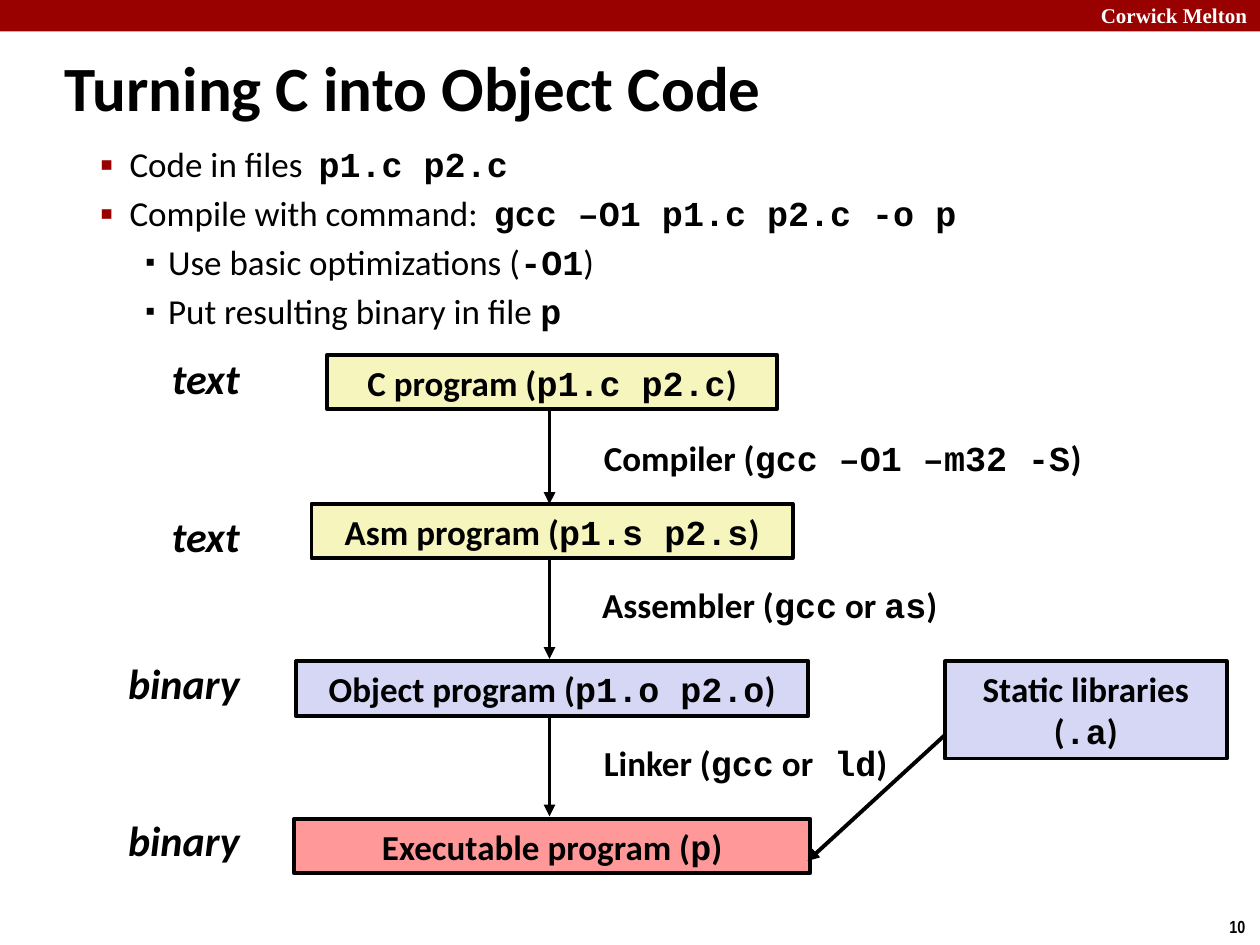
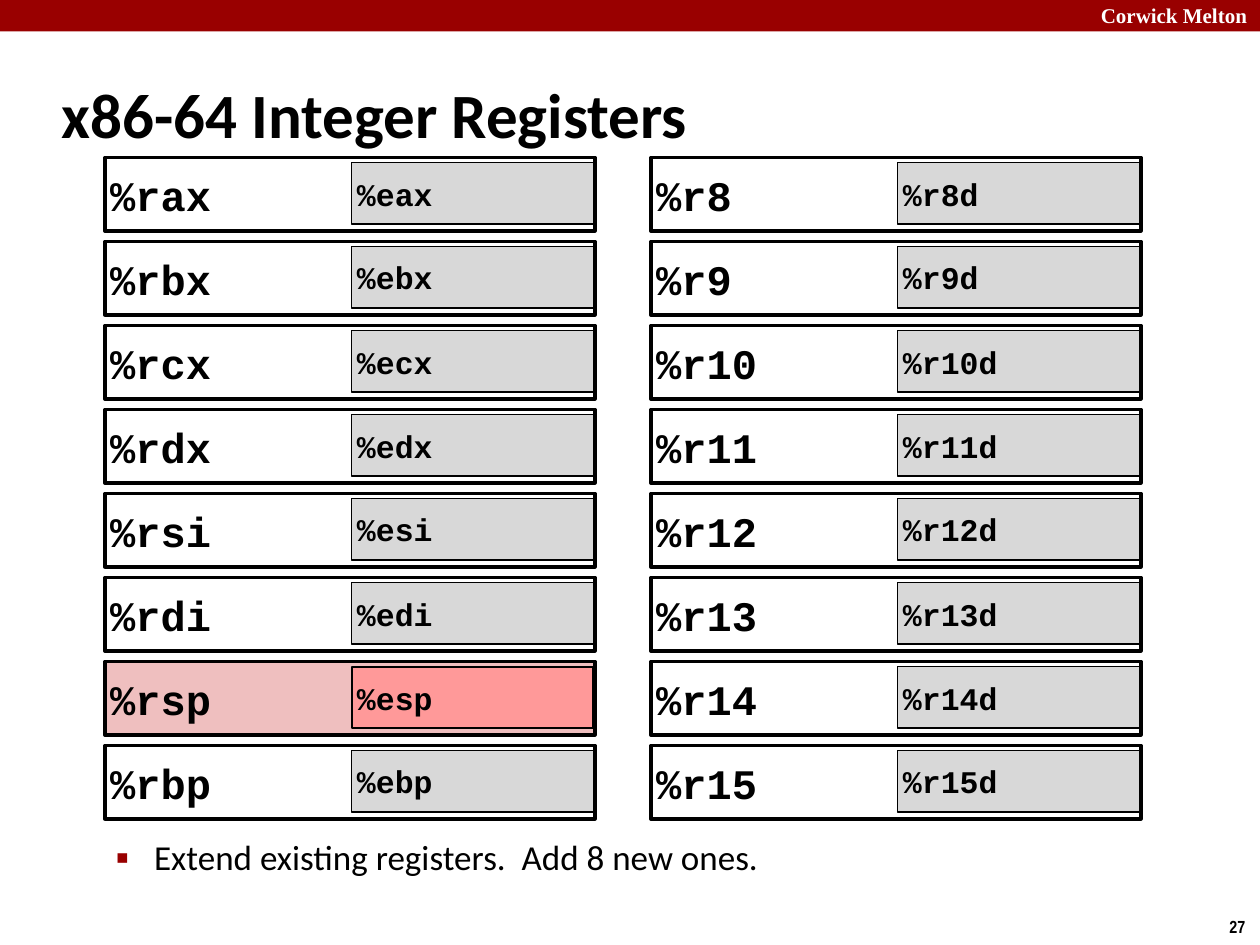
from lxml import etree
from pptx import Presentation
from pptx import util as u
from pptx.dml import color
from pptx.enum import shapes, text
from pptx.oxml import ns

rgb = color.RGBColor.from_string
RED, BLACK, WHITE = "990000", "000000", "FFFFFF"
YELLOW, LAVENDER, PINK = "F6F5BD", "D6D6F5", "FF9999"
PALE_PINK, GRAY = "EFBFBF", "D8D8D8"
BODY_FONT, CODE_FONT = "Calibri", "Courier New"
LEFT, CENTER, RIGHT = text.PP_ALIGN.LEFT, text.PP_ALIGN.CENTER, text.PP_ALIGN.RIGHT
TOP, MIDDLE = text.MSO_ANCHOR.TOP, text.MSO_ANCHOR.MIDDLE


def add_box(slide, box, words="", size=20, fill=None, line=0, ink=BLACK, font=BODY_FONT,
            bold=True, italic=False, align=LEFT, anchor=TOP, inset=None, wrap=True):
    """Add a text box, or a rectangle if it has fill or line; `backticks` mark code."""
    place = [u.Pt(value) for value in box]
    if fill or line:
        shape = slide.shapes.add_shape(shapes.MSO_SHAPE.RECTANGLE, *place)
        shape.shadow.inherit = False
        if fill:
            shape.fill.solid()
            shape.fill.fore_color.rgb = rgb(fill)
        else:
            shape.fill.background()
        if line:
            shape.line.color.rgb = rgb(BLACK)
            shape.line.width = u.Pt(line)
        else:
            shape.line.fill.background()
    else:
        shape = slide.shapes.add_textbox(*place)

    frame = shape.text_frame
    frame.word_wrap = wrap
    frame.vertical_anchor = anchor
    if inset is not None:
        for side in ("left", "top", "right", "bottom"):
            setattr(frame, f"margin_{side}", u.Pt(inset))
    for number, row in enumerate(words.split("\n")):
        paragraph = frame.add_paragraph() if number else frame.paragraphs[0]
        paragraph.alignment = align
        for position, part in enumerate(row.split("`")):
            if not part:
                continue
            is_code = position % 2 == 1
            run = paragraph.add_run()
            run.text = part
            run.font.color.rgb = rgb(ink)
            values = {"name": CODE_FONT if is_code else font, "size": u.Pt(size),
                      "bold": bold or is_code, "italic": italic}
            for name, value in values.items():
                setattr(run.font, name, value)
    return shape


def add_bullet(paragraph, margin, hang, ink, percent, before=0):
    """Give a paragraph a square bullet with a hanging indent."""
    paragraph.space_before = u.Pt(before)
    properties = paragraph._p.get_or_add_pPr()
    properties.set("marL", str(u.Pt(margin)))
    properties.set("indent", str(-u.Pt(hang)))
    bullet_color = etree.SubElement(properties, ns.qn("a:buClr"))
    etree.SubElement(bullet_color, ns.qn("a:srgbClr"), val=ink)
    etree.SubElement(properties, ns.qn("a:buSzPct"), val=str(percent * 1000))
    etree.SubElement(properties, ns.qn("a:buFont"), typeface="Arial")
    etree.SubElement(properties, ns.qn("a:buChar"), char="▪")


presentation = Presentation()
presentation.slide_width, presentation.slide_height = u.Pt(720), u.Pt(540)

# Shared frame: band, school name, page number, title
pages = [("10", "Turning C into Object Code", (30, 26.5, 551, 45.5)),
         ("27", "x86-64 Integer Registers", (28, 34.5, 598, 60))]
slides = []
for page, title, title_box in pages:
    slide = presentation.slides.add_slide(presentation.slide_layouts[6])
    add_box(slide, (0, 0, 720, 18), fill=RED)
    add_box(slide, (622, -2, 103, 22), "Corwick Melton", 12, ink=WHITE,
            font="Times New Roman")
    add_box(slide, (695.5, 520, 24.5, 19.5), page, 10, font="Arial Narrow", wrap=False)
    add_box(slide, title_box, title, 36, anchor=MIDDLE)
    slides.append(slide)
code_slide, register_slide = slides

# Object code: bullets
commands = add_box(code_slide, (23, 78, 654, 115),
                   "Code in files  `p1.c p2.c`\n"
                   "Compile with command:  `gcc –O1 p1.c p2.c -o p`\n"
                   "Use basic optimizations (`-O1`)\n"
                   "Put resulting binary in file `p`", bold=False)
for number, paragraph in enumerate(commands.text_frame.paragraphs):
    level = (44, 17, RED, 110) if number < 2 else (66, 13, BLACK, 80)
    add_bullet(paragraph, *level, before=4)

# Object code: stages from source to executable, with their file kinds
STAGE_CENTER, STAGE_HEIGHT = 315.5, 31
stages = [("text", 198, "C program (`p1.c p2.c`)", 203, 257, YELLOW),
          ("text", 288, "Asm program (`p1.s p2.s`)", 288, 275, YELLOW),
          ("binary", 372, "Object program (`p1.o p2.o`)", 378, 293, LAVENDER),
          ("binary", 462, "Executable program (`p`)", 468, 295, PINK)]
for kind, kind_top, label, top, width, fill in stages:
    add_box(code_slide, (64, kind_top, 80, 36), kind, 24, italic=True, align=RIGHT)
    add_box(code_slide, (STAGE_CENTER - width / 2, top, width, STAGE_HEIGHT), label,
            fill=fill, line=2.25, align=CENTER)
add_box(code_slide, (540, 378, 161, 55.5), "Static libraries (`.a`)",
        fill=LAVENDER, line=2.25, align=CENTER)

# Object code: tools between the stages
tools = [("Compiler (`gcc –O1 –m32 -S`)", 338, 246, 304),
         ("Assembler (`gcc` or `as`)", 337, 330, 240),
         ("Linker (`gcc` or` ld`)", 338, 420, 208)]
for label, left, top, width in tools:
    add_box(code_slide, (left, top, width, STAGE_HEIGHT), label)

# Object code: arrows
arrows = [(314, 234.5, 314, 288), (314, 319, 314, 376.5),
          (314, 409, 314, 466.5), (540, 420, 461.5, 492)]
for ends in arrows:
    connector = code_slide.shapes.add_connector(
        shapes.MSO_CONNECTOR.STRAIGHT, *[u.Pt(value) for value in ends])
    connector.line.color.rgb = rgb(BLACK)
    connector.line.width = u.Pt(2.25)
    properties = connector._element.spPr
    etree.SubElement(properties.find(ns.qn("a:ln")), ns.qn("a:tailEnd"), type="triangle")
    etree.SubElement(properties, ns.qn("a:effectLst"))

# Registers: each 64-bit box holds its 32-bit lower half
old_names = ["ax", "bx", "cx", "dx", "si", "di", "sp", "bp"]
columns = [(60, [(f"%r{name}", f"%e{name}") for name in old_names]),
           (372, [(f"%r{number}", f"%r{number}d") for number in range(8, 16)])]
for left, registers in columns:
    for row, (full, half) in enumerate(registers):
        top = 90 + 48 * row
        is_stack = full == "%rsp"
        parts = [((left + 141, top + 3, 138 if is_stack else 139, 35), half, 18,
                  PINK if is_stack else GRAY, 1 if is_stack else 0.75),
                 ((left, top, 280, 42), full, 24, PALE_PINK if is_stack else None, 2)]
        if is_stack:
            parts.reverse()  # the filled outer box goes behind
        for box, name, size, fill, line in parts:
            add_box(register_slide, box, f"`{name}`", size, fill, line,
                    anchor=MIDDLE, inset=3)

# Registers: closing remark
remark = add_box(register_slide, (23, 474, 577, 66),
                 "Extend existing registers.  Add 8 new ones.", bold=False)
add_bullet(remark.text_frame.paragraphs[0], 58, 22, RED, 110)

presentation.save("out.pptx")
